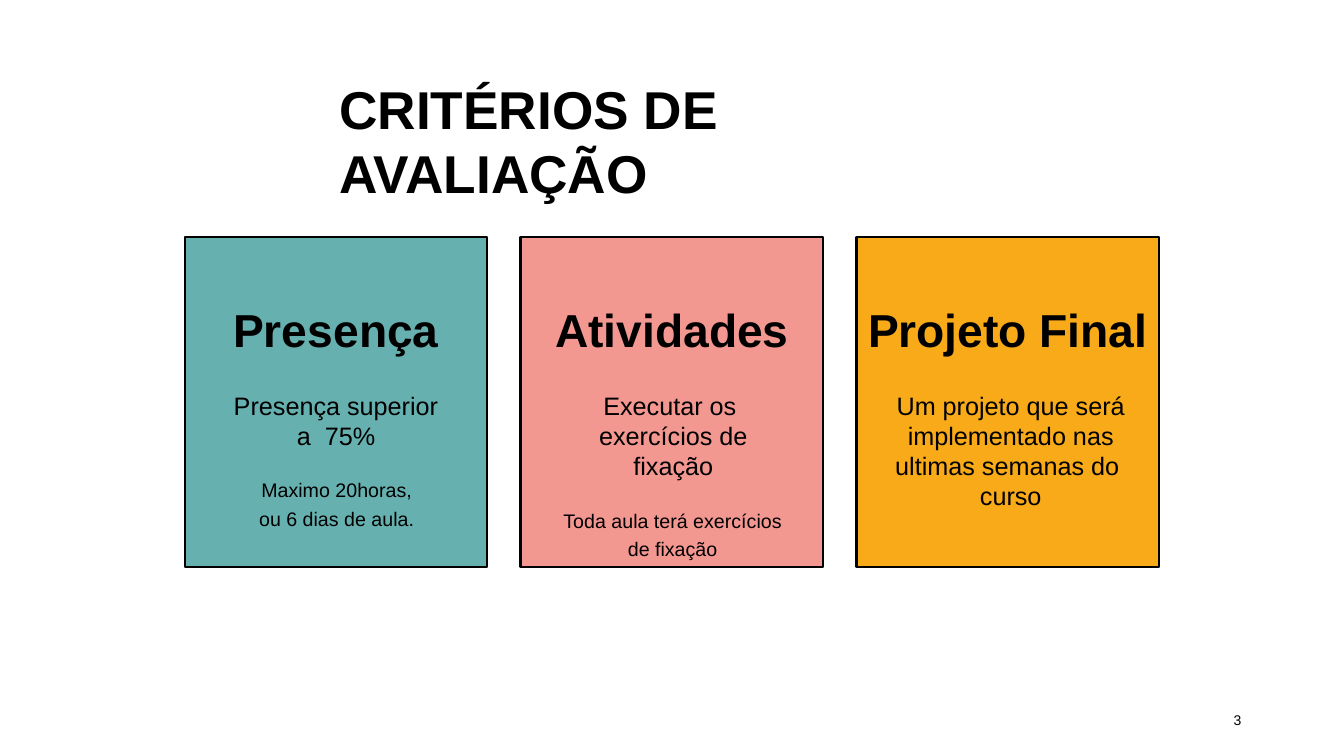
from pptx import Presentation
from pptx.dml.color import RGBColor
from pptx.enum import shapes, text
from pptx.util import Pt

TITLE = "CRITÉRIOS DE\vAVALIAÇÃO"
PAGE_NUMBER = "3"
# heading, description, notes, (left, right) margins of the description, fill
CARDS = [
    ("Presença", "Presença superior a  75%",
     ["Maximo 20horas,", "ou 6 dias de aula."], (31, 31), "teal"),
    ("Atividades", "Executar os  exercícios de fixação",
     ["Toda aula terá exercícios", "de fixação"], (29, 27), "pink"),
    ("Projeto Final",
     "Um projeto que será  implementado nas  ultimas semanas do  curso",
     [], (26, 22), "amber"),
]
COLORS = {"black": "000000", "white": "FFFFFF",
          "teal": "66B1AF", "pink": "F39791", "amber": "F8AA18"}
FONT = "Arial"
CARD_LEFT, CARD_TOP, CARD_WIDTH, CARD_HEIGHT = 132, 169.2, 216, 236
CARD_PITCH = 240
HEADING_OFFSET = 46.4


def color(name):
    return RGBColor.from_string(COLORS[name])


def prepare_frame(shape, top=0.7, wrap=True):
    frame = shape.text_frame
    frame.margin_left = frame.margin_right = frame.margin_bottom = 0
    frame.margin_top = Pt(top)
    frame.word_wrap = wrap
    frame.auto_size = text.MSO_AUTO_SIZE.NONE
    frame.vertical_anchor = text.MSO_ANCHOR.TOP
    return frame


def write(frame, content, size, bold=False, align=text.PP_ALIGN.CENTER,
          before=0, left=0, right=0):
    """Fill the frame's first paragraph, or append one if it is in use."""
    paragraph = frame.paragraphs[0]
    if paragraph.text:
        paragraph = frame.add_paragraph()
    paragraph.text = content
    paragraph.alignment = align
    paragraph.space_before = Pt(before)
    paragraph.line_spacing = 1.0
    properties = paragraph._p.get_or_add_pPr()
    properties.set("marL", str(Pt(left)))
    properties.set("marR", str(Pt(right)))
    for run in paragraph.runs:
        run.font.name = FONT
        run.font.size = Pt(size)
        run.font.bold = bold
        run.font.color.rgb = color("black")


def add_card(slide, card_left, heading, description, notes, margins, fill):
    card = slide.shapes.add_shape(
        shapes.MSO_SHAPE.RECTANGLE, Pt(card_left), Pt(CARD_TOP),
        Pt(CARD_WIDTH), Pt(CARD_HEIGHT))
    card.shadow.inherit = False
    card.fill.solid()
    card.fill.fore_color.rgb = color(fill)
    card.line.color.rgb = color("black")
    card.line.width = Pt(1.8)
    left, right = margins
    frame = prepare_frame(card, top=HEADING_OFFSET)
    write(frame, heading, 33, bold=True)
    write(frame, description, 18, before=23.3, left=left, right=right)
    for index, note in enumerate(notes):
        write(frame, note, 14, before=3.3 if index else 20, left=1)


def main():
    presentation = Presentation()
    presentation.slide_width, presentation.slide_height = Pt(960), Pt(540)
    slide = presentation.slides.add_slide(presentation.slide_layouts[5])
    slide.background.fill.solid()
    slide.background.fill.fore_color.rgb = color("white")

    title = slide.shapes.title
    title.left, title.top = Pt(241), Pt(54)
    title.width, title.height = Pt(478), Pt(47.5)
    write(prepare_frame(title), TITLE, 38, bold=True,
          align=text.PP_ALIGN.LEFT, left=1.4)

    for index, card in enumerate(CARDS):
        add_card(slide, CARD_LEFT + index * CARD_PITCH, *card)

    number = slide.shapes.add_textbox(Pt(880.5), Pt(507.6), Pt(7.5), Pt(13.7))
    write(prepare_frame(number, wrap=False), PAGE_NUMBER, 10,
          align=text.PP_ALIGN.LEFT, left=0.7)

    presentation.save("out.pptx")


if __name__ == "__main__":
    main()
